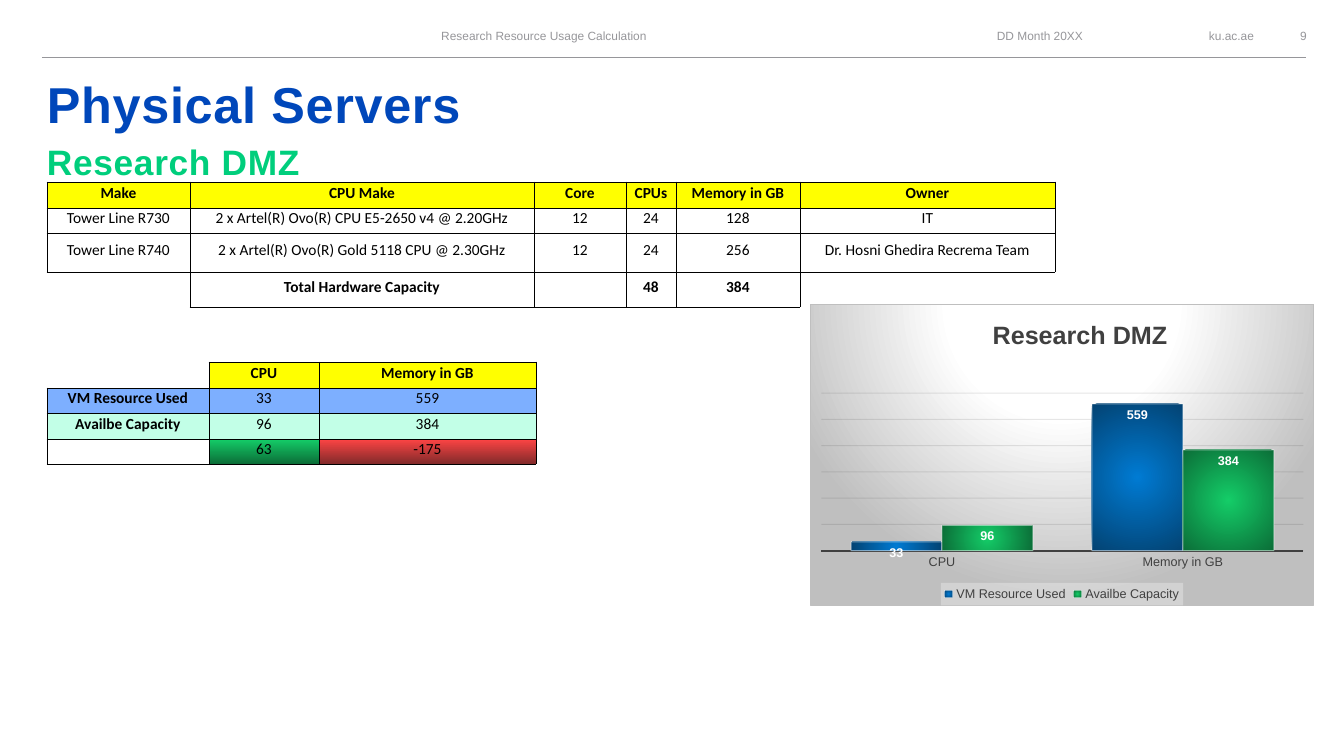
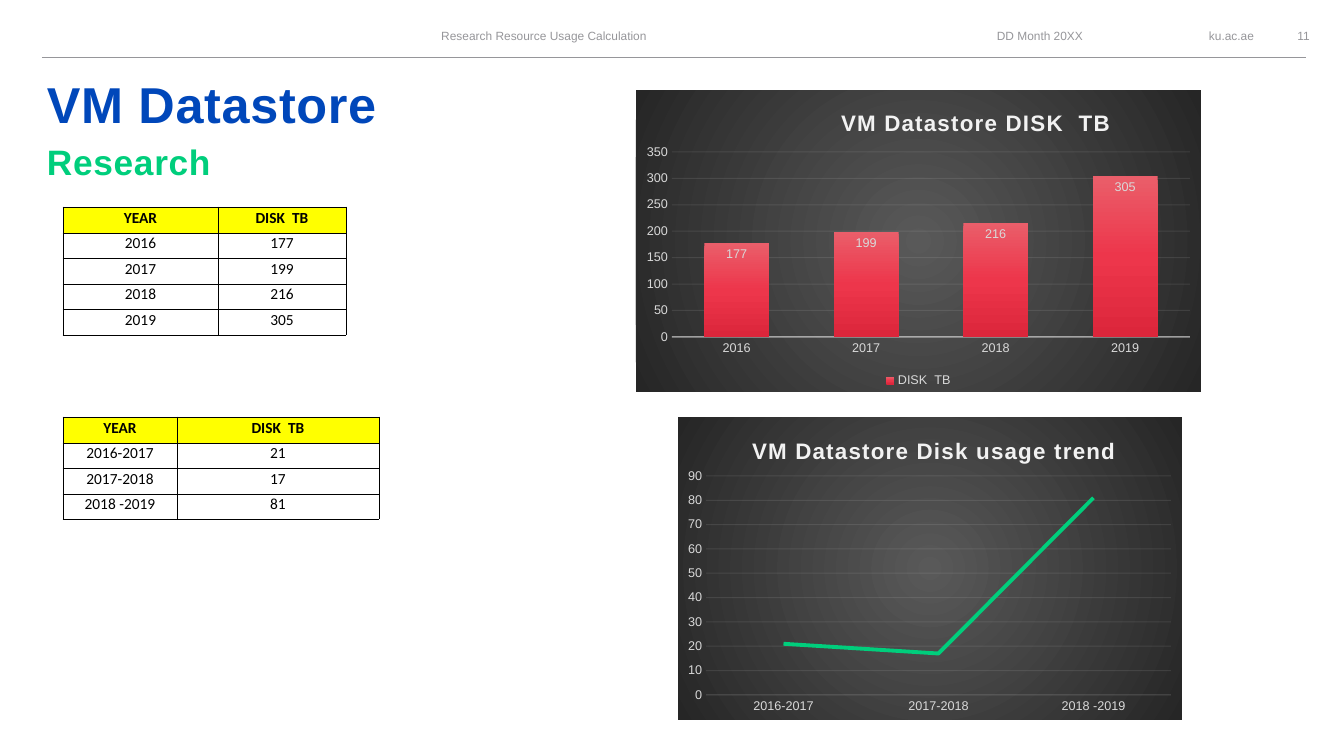
from dataclasses import dataclass

from lxml.etree import SubElement
from pptx import Presentation
from pptx.chart.data import CategoryChartData
from pptx.dml.color import RGBColor
from pptx.enum.chart import XL_CHART_TYPE as ChartType
from pptx.enum.chart import XL_LABEL_POSITION as LabelPosition
from pptx.enum.chart import XL_LEGEND_POSITION as LegendPosition
from pptx.enum.chart import XL_TICK_MARK as TickMark
from pptx.enum.shapes import MSO_CONNECTOR as Connector
from pptx.enum.text import MSO_ANCHOR as Anchor
from pptx.enum.text import PP_ALIGN as Align
from pptx.oxml import parse_xml
from pptx.oxml.ns import nsdecls, qn
from pptx.util import Pt

PX = 914400 / 100.8


@dataclass(frozen=True)
class Gradient:
    stops: tuple
    angle: int = 0
    focus: tuple = ()  # left, top, right, bottom in percent


@dataclass(frozen=True)
class Theme:
    font: str = "Arial"
    table_font: str = "Calibri"
    black: str = "000000"
    white: str = "FFFFFF"
    grey: str = "96969A"
    blue: str = "0047BA"
    green: str = "00CE7C"
    yellow: str = "FFFF00"
    pale_blue: str = "7DAFFF"
    pale_green: str = "C2FFE7"
    header_size: float = 8.5
    title_size: float = 36
    subtitle_size: float = 25.2
    table_size: float = 11
    chart_size: float = 9
    surplus: Gradient = Gradient(((0, "14CD68"), (100, "0B6E38")), angle=90)
    deficit: Gradient = Gradient(((0, "FE4444"), (100, "832B2B")), angle=90)
    blue_bar: Gradient = Gradient(((0, "007BD3"), (100, "034373")), focus=(0, 0, 0, 0))
    green_bar: Gradient = Gradient(((0, "14CD68"), (100, "0B6E38")), focus=(0, 0, 0, 0))
    red_bar: Gradient = Gradient(((0, "EA5E6A"), (50, "ED364B"), (100, "DC263B")), angle=90)


@dataclass(frozen=True)
class ChartStyle:
    back: Gradient
    text: str
    title: str
    title_size: int
    title_spacing: float
    grid: str
    label_colour: str
    label_bold: bool
    border: str = ""


THEME = Theme()
LIGHT = ChartStyle(
    Gradient(((0, "FFFFFF"), (39, "FFFFFF"), (100, "BFBFBF")), focus=(50, -80, 50, 180)),
    "404040", "404040", 18, 0, "0D0D0D", "FFFFFF", True, border="BFBFBF")
DARK = ChartStyle(
    Gradient(((0, "595959"), (100, "262626")), focus=(50, 50, 50, 50)),
    "D9D9D9", "F2F2F2", 16, 1, "F2F2F2", "D9D9D9", False)


def px(*lengths):
    return [round(length * PX) for length in lengths]


def colour(code):
    return RGBColor.from_string(code)


# Formatting helpers
def set_font(font, size, code, bold=False, name=THEME.font):
    font.name, font.size, font.bold = name, Pt(size), bold
    font.color.rgb = colour(code)


def write(frame, text, size, code, bold=False, name=THEME.font, align=None, spacing=0):
    paragraph = frame.paragraphs[0]
    paragraph.alignment = align
    run = paragraph.add_run()
    run.text = text
    set_font(run.font, size, code, bold, name)
    if spacing:
        run.font._rPr.set("spc", str(round(spacing * 100)))


def add_text(slide, text, box, anchor=Anchor.MIDDLE, **style):
    frame = slide.shapes.add_textbox(*px(*box)).text_frame
    frame.margin_left = frame.margin_top = frame.margin_right = frame.margin_bottom = 0
    frame.word_wrap, frame.vertical_anchor = True, anchor
    write(frame, text, **style)


def set_line(line, code, width=0.75, alpha=100):
    line.color.rgb, line.width = colour(code), Pt(width)
    if alpha < 100:
        rgb = line._get_or_add_ln().find(".//" + qn("a:srgbClr"))
        SubElement(rgb, qn("a:alpha"), val=str(alpha * 1000))


def add_gradient(parent, gradient):
    fill = SubElement(parent, qn("a:gradFill"), rotWithShape="1")
    stops = SubElement(fill, qn("a:gsLst"))
    for position, code in gradient.stops:
        stop = SubElement(stops, qn("a:gs"), pos=str(position * 1000))
        SubElement(stop, qn("a:srgbClr"), val=code)
    if gradient.focus:
        circle = SubElement(fill, qn("a:path"), path="circle")
        SubElement(circle, qn("a:fillToRect"),
                   {side: str(value * 1000) for side, value in zip("ltrb", gradient.focus)})
    else:
        SubElement(fill, qn("a:lin"), ang=str(gradient.angle * 60000), scaled="0")


def set_layout(parent, after, box, size, inner=False):
    """Place a chart part by hand; box is in px inside a chart of the given size."""
    for old in parent.findall(qn("c:layout")):
        parent.remove(old)
    layout = parse_xml(f"<c:layout {nsdecls('c')}><c:manualLayout/></c:layout>")
    manual = layout[0]
    if inner:
        SubElement(manual, qn("c:layoutTarget"), val="inner")
    for axis in "xy":
        SubElement(manual, qn(f"c:{axis}Mode"), val="edge")
    for key, value, whole in zip("xywh", box, size * 2):
        SubElement(manual, qn(f"c:{key}"), val=f"{value / whole:.4f}")
    if after is None:
        parent.insert(0, layout)
    else:
        after.addnext(layout)


# Tables: None is an open cell, "" an empty cell with borders
def border_cell(cell, rows, row, column):
    neighbours = {"L": (row, column - 1), "R": (row, column + 1),
                  "T": (row - 1, column), "B": (row + 1, column)}
    properties = cell._tc.get_or_add_tcPr()
    for side, (r, c) in neighbours.items():
        inside = 0 <= r < len(rows) and 0 <= c < len(rows[0])
        drawn = rows[row][column] is not None or (inside and rows[r][c] is not None)
        line = SubElement(properties, qn(f"a:ln{side}"), w=str(Pt(0.5)))
        fill = SubElement(line, qn("a:solidFill" if drawn else "a:noFill"))
        if drawn:
            SubElement(fill, qn("a:srgbClr"), val=THEME.black)


def fill_cell(cell, fill):
    if isinstance(fill, Gradient):
        add_gradient(cell._tc.get_or_add_tcPr(), fill)
    elif fill:
        cell.fill.solid()
        cell.fill.fore_color.rgb = colour(fill)
    else:
        cell.fill.background()


def add_grid(slide, left, top, widths, rows, heights=None, fills=None, bold=()):
    heights = heights or [26 - index % 2 for index in range(len(rows))]
    fills = {0: [THEME.yellow] * len(widths), **(fills or {})}
    box = px(left, top, sum(widths), sum(heights))
    table = slide.shapes.add_table(len(rows), len(widths), *box).table
    table.first_row = table.horz_banding = False
    for column, width in zip(table.columns, px(*widths)):
        column.width = width
    for row, height in zip(table.rows, px(*heights)):
        row.height = height
    for r, values in enumerate(rows):
        for c, value in enumerate(values):
            cell = table.cell(r, c)
            cell.margin_left, cell.margin_top, cell.margin_right, cell.margin_bottom = px(1, 1, 1, 5)
            cell.vertical_anchor = Anchor.MIDDLE
            border_cell(cell, rows, r, c)
            fill_cell(cell, fills[r][c] if r in fills and value is not None else None)
            if value:
                write(cell.text_frame, value, THEME.table_size, THEME.black,
                      bold=r == 0 or (r, c) in bold, name=THEME.table_font, align=Align.CENTER)
            else:
                SubElement(cell.text_frame.paragraphs[0]._p, qn("a:endParaRPr"),
                           sz=str(THEME.table_size * 100))


# Charts
def add_panel(slide, kind, box, plot_box, title, title_at, style, categories, series,
              top_value, step, axis_line, legend=False, show_values=True,
              gap=None, overlap=None):
    data = CategoryChartData()
    data.categories = categories
    for name, values, _ in series:
        data.add_series(name, values)
    chart = slide.shapes.add_chart(kind, *px(*box), data).chart
    set_font(chart.font, THEME.chart_size, style.text)
    size = box[2:]

    # Background and title
    space = chart._chartSpace
    back = parse_xml(f"<c:spPr {nsdecls('c', 'a')}/>")
    add_gradient(back, style.back)
    edge = SubElement(back, qn("a:ln"), w=str(Pt(0.75)))
    edge_fill = SubElement(edge, qn("a:solidFill" if style.border else "a:noFill"))
    if style.border:
        SubElement(edge_fill, qn("a:srgbClr"), val=style.border)
    space.find(qn("c:chart")).addnext(back)
    write(chart.chart_title.text_frame, title, style.title_size, style.title,
          bold=True, spacing=style.title_spacing)
    title_element = chart.chart_title._element
    set_layout(title_element, title_element.find(qn("c:tx")), title_at, size)
    set_layout(space.find(".//" + qn("c:plotArea")), None, plot_box, size, inner=True)

    # Axes
    for axis in (chart.category_axis, chart.value_axis):
        axis.major_tick_mark = axis.minor_tick_mark = TickMark.NONE
        set_font(axis.tick_labels.font, THEME.chart_size, style.text)
    chart.category_axis.has_major_gridlines = False
    set_line(chart.category_axis.format.line, *axis_line)
    value_axis = chart.value_axis
    value_axis.minimum_scale, value_axis.maximum_scale = 0, top_value
    value_axis.major_unit = step
    value_axis.has_major_gridlines = True
    set_line(value_axis.major_gridlines.format.line, style.grid, alpha=10)
    value_axis.format.line.fill.background()
    value_axis.visible = style is DARK

    # Series and labels
    plot = chart.plots[0]
    plot.vary_by_categories = False
    if gap is not None:
        plot.gap_width = gap
    if overlap is not None:
        plot.overlap = overlap
    for item, (_, _, paint) in zip(plot.series, series):
        if isinstance(paint, Gradient):
            item.invert_if_negative = False
            add_gradient(item._element.get_or_add_spPr(), paint)
            if style is LIGHT:
                set_line(item.format.line, THEME.white, alpha=50)
        else:
            item.smooth = False
            set_line(item.format.line, paint, 2.75)
    if show_values:
        plot.has_data_labels = True
        labels = plot.data_labels
        labels.show_value, labels.position = True, LabelPosition.INSIDE_END
        set_font(labels.font, THEME.chart_size, style.label_colour, style.label_bold)

    # Legend
    chart.has_legend = legend
    if legend:
        chart.legend.position = LegendPosition.BOTTOM
        chart.legend.include_in_layout = False
        set_font(chart.legend.font, THEME.chart_size, style.text)
        if style is LIGHT:
            chart.legend._element.find(qn("c:overlay")).addnext(parse_xml(
                f'<c:spPr {nsdecls("c", "a")}><a:solidFill><a:srgbClr val="F2F2F2">'
                '<a:alpha val="39000"/></a:srgbClr></a:solidFill></c:spPr>'))


# Page frame: running header, rule and titles
def add_page(presentation, number, title, subtitle):
    slide = presentation.slides.add_slide(presentation.slide_layouts[6])
    for text, left, width, align in (
            ("ku.ac.ae", 1148, 106, Align.RIGHT),
            ("DD Month 20XX", 891, 192, Align.RIGHT),
            ("Research Resource Usage Calculation", 317, 454, Align.CENTER),
            (number, 1275, 57, Align.CENTER)):
        add_text(slide, text, (left, 22, width, 27), size=THEME.header_size,
                 code=THEME.grey, align=align)
    rule = slide.shapes.add_connector(Connector.STRAIGHT, *px(42, 58, 1306, 58))
    set_line(rule.line, THEME.grey)
    SubElement(rule._element.spPr, qn("a:effectLst"))
    for text, box, size, code in (
            (title, (47, 61, 442, 73), THEME.title_size, THEME.blue),
            (subtitle, (47, 135, 461, 48), THEME.subtitle_size, THEME.green)):
        add_text(slide, text, box, Anchor.BOTTOM, size=size, code=code, bold=True, spacing=0.5)
    return slide


def build_servers(presentation):
    slide = add_page(presentation, "9", "Physical Servers", "Research DMZ")
    add_grid(slide, 47, 182, (143, 344, 92, 50, 124, 255), [
        ("Make", "CPU Make", "Core", "CPUs", "Memory in GB", "Owner"),
        ("Tower Line R730", "2 x Artel(R) Ovo(R) CPU E5-2650 v4 @ 2.20GHz", "12", "24", "128", "IT"),
        ("Tower Line R740", "2 x Artel(R) Ovo(R) Gold 5118 CPU @ 2.30GHz", "12", "24", "256",
         "Dr. Hosni Ghedira Recrema Team"),
        (None, "Total Hardware Capacity", "", "48", "384", None),
    ], heights=(26, 25, 39, 35), bold=((3, 1), (3, 3), (3, 4)))
    add_grid(slide, 47, 362, (162, 110, 217), [
        (None, "CPU", "Memory in GB"),
        ("VM Resource Used", "33", "559"),
        ("Availbe Capacity", "96", "384"),
        ("", "63", "-175"),
    ], fills={1: [THEME.pale_blue] * 3, 2: [THEME.pale_green] * 3,
              3: [None, THEME.surplus, THEME.deficit]}, bold=((1, 0), (2, 0)))
    add_panel(slide, ChartType.COLUMN_CLUSTERED, (810, 304, 504, 302), (11, 89, 483, 158),
              "Research DMZ", (178, 9), LIGHT, ("CPU", "Memory in GB"),
              (("VM Resource Used", (33, 559), THEME.blue_bar),
               ("Availbe Capacity", (96, 384), THEME.green_bar)),
              600, 100, ("404040", 1.5), legend=True, gap=65, overlap=0)


def build_datastore(presentation):
    slide = add_page(presentation, "11", "VM Datastore", "Research")
    years, disk = ("2016", "2017", "2018", "2019"), (177, 199, 216, 305)
    spans, growth = ("2016-2017", "2017-2018", "2018 -2019"), (21, 17, 81)
    heading = ("YEAR", "DISK  TB")
    for top, widths, names, values in ((207, (155, 128), years, disk),
                                       (417, (114, 202), spans, growth)):
        add_grid(slide, 63, top, widths, [heading, *zip(names, map(str, values))])
    add_panel(slide, ChartType.LINE, (678, 417, 504, 303), (28, 59, 465, 219),
              "VM Datastore Disk usage trend", (70, 16), DARK, spans,
              (("Series 1", growth, THEME.green),), 90, 10, ("F2F2F2", 0.75, 10),
              show_values=False)
    add_panel(slide, ChartType.COLUMN_CLUSTERED, (636, 90, 565, 302), (36, 62, 518, 185),
              "VM Datastore DISK  TB", (201, 15), DARK, years,
              (("DISK  TB", disk, THEME.red_bar),), 350, 50, ("F2F2F2", 1, 54),
              legend=True, gap=100, overlap=-24)


def main():
    presentation = Presentation()
    presentation.slide_width, presentation.slide_height = px(1344, 756)
    build_servers(presentation)
    build_datastore(presentation)
    presentation.save("out.pptx")


if __name__ == "__main__":
    main()
